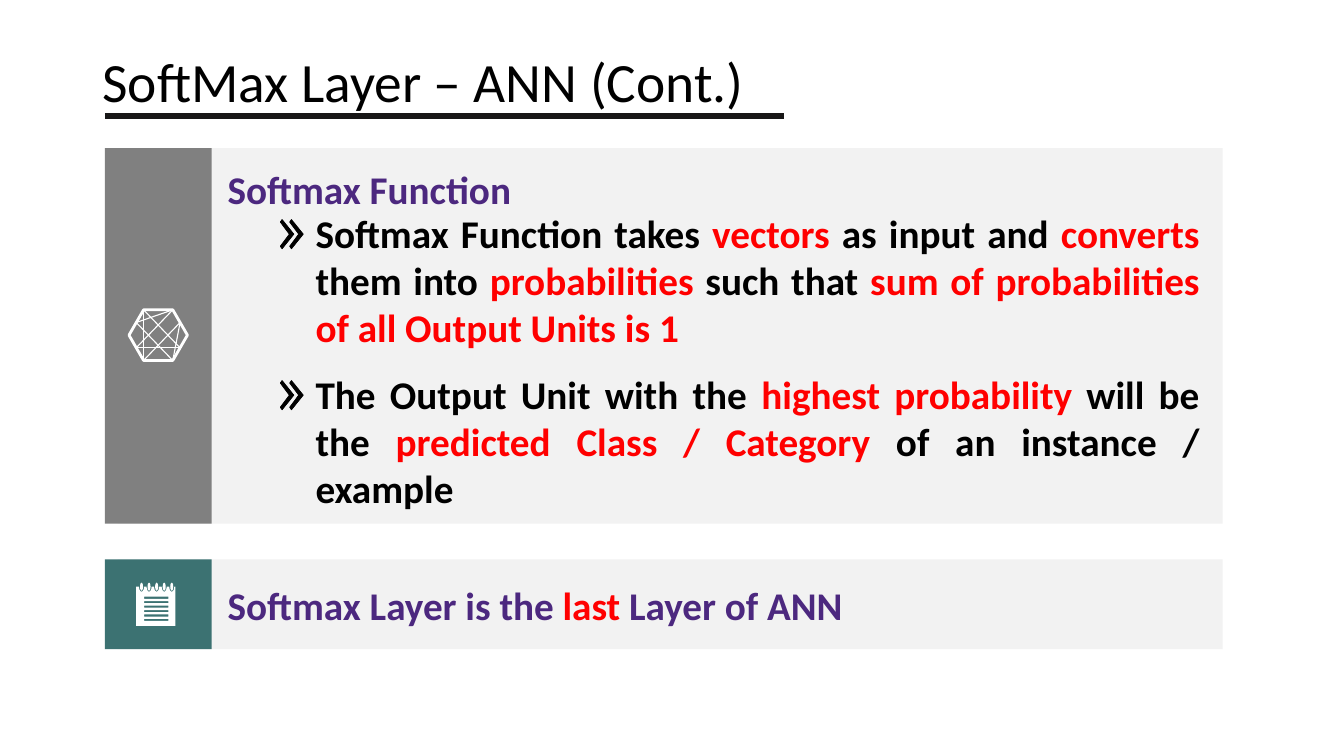
"""Build the SoftMax layer slide."""
from dataclasses import dataclass
from math import cos, pi, sin
from typing import NamedTuple

from lxml import etree
from pptx import Presentation
from pptx import util as u
from pptx.dml import color
from pptx.enum import shapes, text
from pptx.oxml import ns

COLORS = {
    "ink": "000000", "rule": "181717", "panel": "F2F2F2", "grey": "808080",
    "teal": "3C7272", "violet": "4C287F", "red": "FF0000", "white": "FFFFFF",
}
ICON_UNIT = 0.72
TAB_LEFT, TAB_WIDTH = 74.9, 76.3
PANEL_LEFT, PANEL_WIDTH = 84.2, 789.1

Point = tuple[float, float]
Contour = list[Point]


class Run(NamedTuple):
    words: str
    tint: str


@dataclass
class Band:
    top: float
    height: float
    tab_tint: str


@dataclass
class Passage:
    left: float
    top: float
    width: float
    height: float
    runs: list[Run]
    font: dict
    frame: dict
    align: text.PP_ALIGN = text.PP_ALIGN.LEFT


def rgb(tint: str) -> color.RGBColor:
    return color.RGBColor.from_string(COLORS[tint])


def apply(target, values: dict) -> None:
    for name, value in values.items():
        setattr(target, name, value)


def paint(shape, tint: str, outline: float = 0, filled: bool = True) -> None:
    shape.shadow.inherit = False
    if filled:
        shape.fill.solid()
        shape.fill.fore_color.rgb = rgb(tint)
    else:
        shape.fill.background()
    if outline:
        shape.line.color.rgb = rgb(tint)
        shape.line.width = u.Pt(outline)
    else:
        shape.line.fill.background()


def draw_line(slide, start: Point, end: Point, tint: str, width: float) -> None:
    line = slide.shapes.add_connector(
        shapes.MSO_CONNECTOR.STRAIGHT, *[u.Pt(length) for length in (*start, *end)])
    line.line.color.rgb = rgb(tint)
    line.line.width = u.Pt(width)
    etree.SubElement(line._element.spPr, ns.qn("a:effectLst"))


def draw_band(slide, band: Band) -> None:
    for left, width, tint in ((PANEL_LEFT, PANEL_WIDTH, "panel"),
                              (TAB_LEFT, TAB_WIDTH, band.tab_tint)):
        block = slide.shapes.add_shape(
            shapes.MSO_SHAPE.RECTANGLE,
            u.Pt(left), u.Pt(band.top), u.Pt(width), u.Pt(band.height))
        paint(block, tint)


def draw_passage(slide, passage: Passage) -> None:
    box = slide.shapes.add_textbox(
        u.Pt(passage.left), u.Pt(passage.top), u.Pt(passage.width), u.Pt(passage.height))
    apply(box.text_frame, {"word_wrap": True, **passage.frame})
    paragraph = box.text_frame.paragraphs[0]
    paragraph.alignment = passage.align
    for words, tint in passage.runs:
        run = paragraph.add_run()
        run.text = words
        apply(run.font, {"name": "Calibri", **passage.font})
        run.font.color.rgb = rgb(tint)


def draw_icon(slide, left: float, top: float, contours: list[Contour],
              tint: str, outline: float = 0, filled: bool = True) -> None:
    scaled = [[(u.Pt(x * ICON_UNIT), u.Pt(y * ICON_UNIT)) for x, y in contour]
              for contour in contours]
    pen = slide.shapes.build_freeform(*scaled[0][0])
    for index, contour in enumerate(scaled):
        if index:
            pen.move_to(*contour[0])
        pen.add_line_segments(contour[1:], close=True)
    paint(pen.convert_to_shape(u.Pt(left), u.Pt(top)), tint, outline, filled)


def arc(center: Point, radii: Point, steps: int, turn: float) -> Contour:
    angles = [turn * i / steps for i in range(steps + 1)]
    return [(center[0] + radii[0] * cos(a), center[1] + radii[1] * sin(a)) for a in angles]


def chevron_contours() -> list[Contour]:
    arrow = [(0, 2.5), (1.8, 0), (13.5, 14.5), (1.8, 29), (0, 26.5), (9, 14.5)]
    return [[(x + shift, y) for x, y in arrow] for shift in (0, 9.3)]


def notepad_contours() -> list[Contour]:
    ring_centers = [5.4 + 7.5 * i for i in range(5)]
    notches = [point for c in ring_centers
               for point in reversed(arc((c, 4), (2.5, 5), 6, pi))]
    page = [(0, 4), *notches, (39, 4), (39, 43), (0, 43)]
    rings = [arc((c, 4), (1.5, 4), 12, 2 * pi) for c in ring_centers]
    rows = [14 + 4.4 * i for i in range(6)]
    lines = [[(8, y), (32, y), (32, y + 2), (8, y + 2)] for y in rows]
    return [page, *lines, *rings]


def draw_network(slide, center: Point) -> None:
    radius = 29
    hexagon = arc((0, 0), (radius, radius), 6, 2 * pi)[:-1]
    draw_icon(slide, *center, [hexagon], "white", 2, filled=False)
    nodes = []
    for i in range(12):
        reach = radius * ICON_UNIT * (cos(pi / 6) if i % 2 else 1)
        nodes.append((center[0] + reach * cos(pi * i / 6),
                      center[1] + reach * sin(pi * i / 6)))
    for start, end in NETWORK_CHORDS:
        draw_line(slide, nodes[start], nodes[end], "white", 0.8)


NETWORK_CHORDS = [(8, 4), (5, 1), (7, 10), (8, 1), (7, 2), (10, 5), (11, 4), (11, 2)]
BANDS = [Band(105.8, 268.2, "grey"), Band(399.6, 64.1, "teal")]

BOLD = {"size": u.Pt(28), "bold": True}
GROW = {"auto_size": text.MSO_AUTO_SIZE.SHAPE_TO_FIT_TEXT}
POINT_FRAME = {**GROW, "vertical_anchor": text.MSO_ANCHOR.BOTTOM, "margin_left": 0,
               "margin_top": 0, "margin_right": 0, "margin_bottom": 0}

TITLE = Passage(66.2, 28.8, 657.4, 56.9, [Run("SoftMax Layer – ANN (Cont.)", "ink")],
                {"size": u.Pt(39.6)}, {"vertical_anchor": text.MSO_ANCHOR.MIDDLE})
HEADINGS = [
    Passage(155.5, 114.5, 650.9, 41, [Run("Softmax Function", "violet")], BOLD, GROW),
    Passage(155.5, 411.8, 696.2, 41, [
        Run("Softmax Layer is the ", "violet"), Run("last", "red"),
        Run(" Layer of ANN", "violet")], BOLD, GROW),
]
POINTS = {
    149: [Run("Softmax Function takes ", "ink"), Run("vectors", "red"),
          Run(" as input and ", "ink"), Run("converts", "red"),
          Run(" them into ", "ink"), Run("probabilities", "red"),
          Run(" such that ", "ink"),
          Run("sum of probabilities of all Output Units is 1", "red")],
    264: [Run("The Output Unit with the ", "ink"), Run("highest probability", "red"),
          Run(" will be the ", "ink"), Run("predicted Class / Category", "red"),
          Run(" of an instance / example", "ink")],
}


def main() -> None:
    deck = Presentation()
    apply(deck, {"slide_width": u.Pt(960), "slide_height": u.Pt(540)})
    slide = deck.slides.add_slide(deck.slide_layouts[6])

    draw_passage(slide, TITLE)
    draw_line(slide, (74.9, 82.8), (560.2, 82.8), "rule", 4.5)
    for band in BANDS:
        draw_band(slide, band)
    for heading in HEADINGS:
        draw_passage(slide, heading)
    for top, runs in POINTS.items():
        draw_passage(slide, Passage(225.4, top, 631.4, 101.5, runs, BOLD, POINT_FRAME,
                                    text.PP_ALIGN.JUSTIFY))
        draw_icon(slide, 200.2, top + 7.8, chevron_contours(), "ink", 0.5)
    draw_network(slide, (113, 239.4))
    draw_icon(slide, 97.2, 416.2, notepad_contours(), "white")
    deck.save("out.pptx")


if __name__ == "__main__":
    main()
